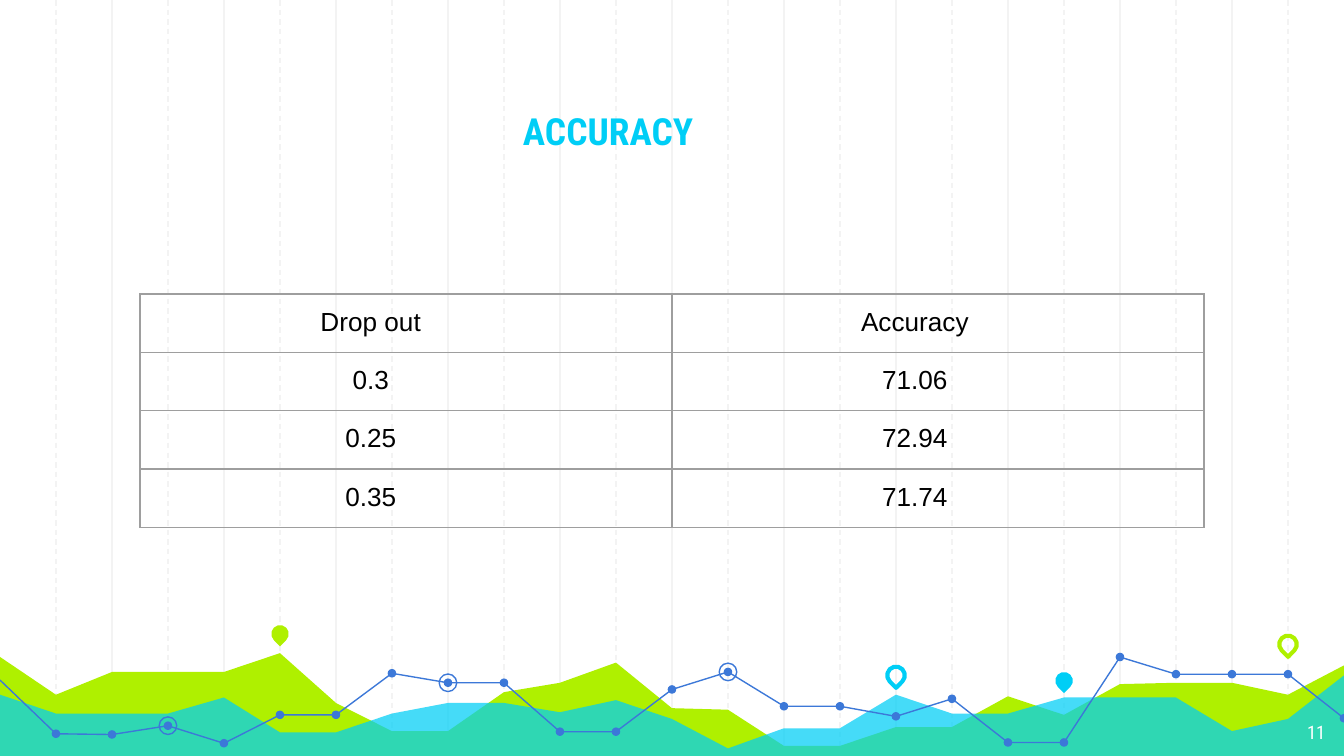
"""Build the accuracy slide: a results table above a decorative chart skyline."""
from lxml import etree
from pptx import Presentation
from pptx.dml.color import RGBColor
from pptx.enum.dml import MSO_LINE_DASH_STYLE as DASH
from pptx.enum.shapes import MSO_CONNECTOR, MSO_SHAPE as SHAPE
from pptx.enum.text import MSO_ANCHOR as ANCHOR, PP_ALIGN as ALIGN
from pptx.oxml.ns import qn
from pptx.util import Pt

COLORS = {"grid": "F3F3F3", "green": "AFF000", "cyan": "00CEF6", "blue": "3C78D8",
          "border": "9E9E9E", "black": "000000", "white": "FFFFFF"}
STEP = 30
WIDTH, HEIGHT = 720, 405


def paint(shape, fill=None, line=None, weight=0.75):
    shape.shadow.inherit = False
    if fill:
        shape.fill.solid()
        shape.fill.fore_color.rgb = RGBColor.from_string(COLORS[fill])
    else:
        shape.fill.background()
    if line:
        shape.line.color.rgb = RGBColor.from_string(COLORS[line])
        shape.line.width = Pt(weight)
    else:
        shape.line.fill.background()


def write(frame, text, size, font, color, align, bold=False):
    frame.text = text
    paragraph = frame.paragraphs[0]
    paragraph.alignment = align
    style = paragraph.runs[0].font
    style.size, style.name, style.bold = Pt(size), font, bold
    style.color.rgb = RGBColor.from_string(COLORS[color])


presentation = Presentation()
presentation.slide_width, presentation.slide_height = Pt(WIDTH), Pt(HEIGHT)
slide = presentation.slides.add_slide(presentation.slide_layouts[6])
shapes = slide.shapes

for start, dash in ((2 * STEP, None), (STEP, DASH.DASH)):
    for x in range(start, WIDTH, 2 * STEP):
        grid_line = shapes.add_connector(MSO_CONNECTOR.STRAIGHT, Pt(x), 0, Pt(x), Pt(407))
        grid_line.line.color.rgb = RGBColor.from_string(COLORS["grid"])
        grid_line.line.width = Pt(0.75)
        grid_line.line.dash_style = dash
        etree.SubElement(grid_line._element.spPr, qn("a:effectLst"))

areas = {
    "green": [350.6, 372.2, 360, 360, 360, 349.9, 376.6, 391.7, 391.7, 370.8, 365.8, 355, 379.4,
              380.2, 399.6, 399.6, 389.5, 389.5, 373, 383, 366.5, 365.8, 365.8, 372.2, 355.7],
    "cyan": [371.5, 382.3, 382.3, 382.3, 373.7, 392.4, 392.4, 382.3, 376.6, 376.6, 381.6, 375.1,
             385.2, 401, 390.2, 390.2, 372.2, 382.3, 382.3, 373.7, 373.7, 373.7, 391.7, 385.2,
             360.7],
}
for color, heights in areas.items():
    builder = shapes.build_freeform(Pt(-2), Pt(406.5))
    outline = [(Pt(STEP * index), Pt(y)) for index, y in enumerate(heights)]
    outline[0] = (Pt(-2), outline[0][1])
    outline[-1] = (Pt(WIDTH + 1.5), outline[-1][1])
    builder.add_line_segments(outline + [(Pt(WIDTH + 1.5), Pt(406.5))], close=True)
    area = builder.convert_to_shape()
    paint(area, fill=color)
    if color == "cyan":
        fill_color = area._element.spPr.find(qn("a:solidFill"))[0]
        etree.SubElement(fill_color, qn("a:alpha"), val="73000")

trend = [364.3, 393.1, 393.5, 388.8, 398.2, 383, 383, 360.7, 365.8, 365.8, 392, 392, 369.4,
         360, 378.4, 378.4, 383.8, 374.4, 397.8, 397.8, 352, 361.2, 361.2, 361.2, 384.8]
points = [(STEP * index, y) for index, y in enumerate(trend)]
for first, last in ((0, 11), (11, 20), (20, 24)):
    (x, y), *rest = points[first:last + 1]
    builder = shapes.build_freeform(Pt(x), Pt(y))
    builder.add_line_segments([(Pt(x), Pt(y)) for x, y in rest], close=False)
    paint(builder.convert_to_shape(), line="blue")

DOT, RING = 4.6, 9.4
markers = [(SHAPE.OVAL, x, y, DOT, "blue", None, 0.75) for x, y in points[1:]]
markers += [(SHAPE.OVAL, *points[index], RING, None, "blue", 0.75) for index in (3, 8, 13)]
markers += [(SHAPE.TEAR, 150, 339.6, RING, "green", None, 2.25),
            (SHAPE.TEAR, 480, 361.8, RING, None, "cyan", 2.25),
            (SHAPE.TEAR, 570, 364.7, RING, "cyan", None, 2.25),
            (SHAPE.TEAR, 690, 345.2, RING, None, "green", 2.25)]
for kind, x, y, size, fill, line, weight in markers:
    marker = shapes.add_shape(kind, Pt(x - size / 2), Pt(y - size / 2), Pt(size), Pt(size))
    paint(marker, fill, line, weight)
    if kind == SHAPE.TEAR:
        marker.rotation = 135

labels = [
    ("ACCURACY", 84.2, 45.4, 550.8, 43.9, 196, 20, "cyan", ALIGN.LEFT, ANCHOR.BOTTOM, True),
    ("11", 673.9, 380.2, 43.2, 25.2, 7.2, 10, "white", ALIGN.RIGHT, ANCHOR.TOP, False),
]
for text, left, top, width, height, inset, size, color, align, anchor, bold in labels:
    frame = shapes.add_textbox(Pt(left), Pt(top), Pt(width), Pt(height)).text_frame
    frame.word_wrap = True
    frame.vertical_anchor = anchor
    frame.margin_left = Pt(inset)
    frame.margin_right = frame.margin_top = frame.margin_bottom = Pt(7.2)
    write(frame, text, size, "Roboto Condensed", color, align, bold)

rows = [("Drop out", "Accuracy"), ("0.3", "71.06"), ("0.25", "72.94"), ("0.35", "71.74")]
right_margins = (45, 32)
table = shapes.add_table(len(rows), 2, Pt(75), Pt(157.5), Pt(570), Pt(STEP * len(rows))).table
table.first_row = table.horz_banding = False
for row_index, row in enumerate(rows):
    for column_index, text in enumerate(row):
        cell = table.cell(row_index, column_index)
        cell.margin_left = cell.margin_top = cell.margin_bottom = Pt(7.2)
        cell.margin_right = Pt(right_margins[column_index])
        write(cell.text_frame, text, 14, "Arial", "black", ALIGN.CENTER)
        properties = cell._tc.get_or_add_tcPr()
        for side in ("lnL", "lnR", "lnT", "lnB"):
            border = etree.SubElement(properties, qn(f"a:{side}"), w=str(Pt(0.75)))
            solid = etree.SubElement(border, qn("a:solidFill"))
            etree.SubElement(solid, qn("a:srgbClr"), val=COLORS["border"])
        cell.fill.background()

presentation.save("out.pptx")
